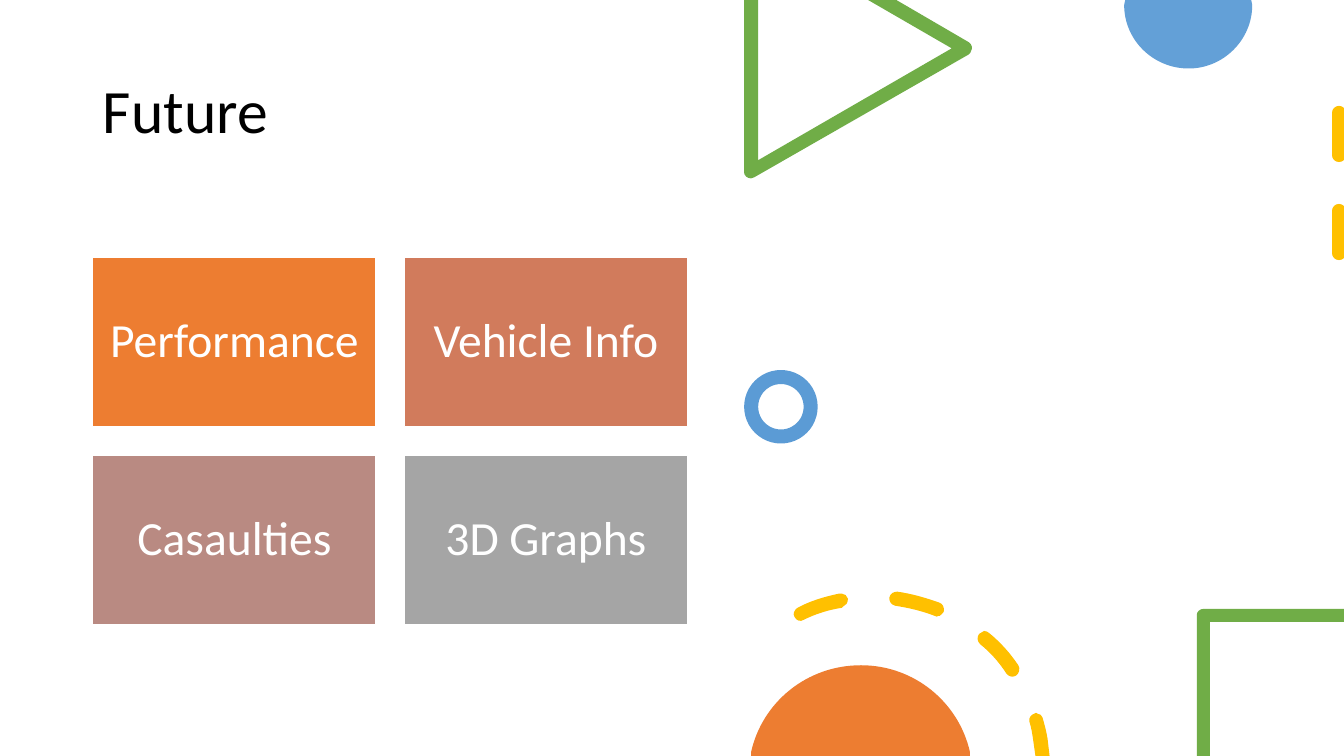
from lxml import etree
from pptx import Presentation
from pptx.dml.color import RGBColor
from pptx.enum.dml import MSO_LINE
from pptx.enum.shapes import MSO_CONNECTOR, MSO_SHAPE
from pptx.enum.text import MSO_ANCHOR, PP_ALIGN
from pptx.oxml.ns import qn
from pptx.util import Inches, Pt

RECTANGLE, OVAL = MSO_SHAPE.RECTANGLE, MSO_SHAPE.OVAL
STRAIGHT, DASH = MSO_CONNECTOR.STRAIGHT, MSO_LINE.DASH
MIDDLE, LEFT, CENTER = MSO_ANCHOR.MIDDLE, PP_ALIGN.LEFT, PP_ALIGN.CENTER
TITLE_ONLY = 5

COLORS = {
    "white": "FFFFFF", "black": "000000", "blue": "5B9BD5", "green": "70AD47",
    "yellow": "FFC000", "orange": "ED7D31", "terracotta": "D17B5C",
    "rose": "B98A82", "gray": "A5A5A5",
}

TOPICS = [("Performance", "orange"), ("Vehicle Info", "terracotta"),
          ("Casaulties", "rose"), ("3D Graphs", "gray")]

BLUE_DISC = [[(0.01, 0), (1.26, 0), (1.27, 0.05),
              (1.27, 0.4, 0.98, 0.68, 0.64, 0.68), (0.29, 0.68, 0, 0.4, 0, 0.05)]]
TRIANGLE = [[(0, 0), (0.14, 0), (0.14, 1.59), (2.06, 0.48), (1.23, 0), (1.51, 0),
             (2.23, 0.42), (2.26, 0.44, 2.27, 0.48, 2.25, 0.51),
             (2.25, 0.52, 2.24, 0.53, 2.23, 0.54), (0.1, 1.76),
             (0.09, 1.77, 0.08, 1.77, 0.07, 1.77), (0.03, 1.77, 0, 1.74, 0, 1.71)]]
ORANGE_DISC = [[(1.09, 0), (1.62, 0, 2.06, 0.37, 2.17, 0.86), (2.17, 0.9),
                (0, 0.9), (0, 0.86), (0.11, 0.37, 0.55, 0, 1.09, 0)]]
SQUARE_CORNER = [[(0.07, 0), (1.46, 0), (1.46, 0.13), (0.13, 0.13), (0.13, 1.46),
                  (0, 1.46), (0, 0.06), (0, 0.03, 0.03, 0, 0.07, 0)]]
ARC_DASHES = [
    [(2.84, 1.21), (2.86, 1.21, 2.89, 1.23, 2.89, 1.25),
     (2.91, 1.32, 2.93, 1.39, 2.94, 1.46), (2.96, 1.63), (2.82, 1.63), (2.8, 1.49),
     (2.79, 1.42, 2.78, 1.35, 2.76, 1.29), (2.75, 1.25, 2.78, 1.22, 2.81, 1.21),
     (2.82, 1.2, 2.83, 1.2, 2.84, 1.21)],
    [(2.31, 0.39), (2.33, 0.39, 2.35, 0.4, 2.36, 0.41),
     (2.47, 0.5, 2.57, 0.61, 2.65, 0.73), (2.67, 0.76, 2.66, 0.81, 2.63, 0.83),
     (2.63, 0.83, 2.62, 0.84, 2.61, 0.84), (2.59, 0.85, 2.55, 0.84, 2.53, 0.81),
     (2.46, 0.7, 2.37, 0.6, 2.27, 0.52), (2.24, 0.49, 2.24, 0.45, 2.26, 0.42),
     (2.28, 0.4, 2.29, 0.4, 2.31, 0.39)],
    [(0.9, 0.02), (0.93, 0.02, 0.95, 0.04, 0.96, 0.07),
     (0.96, 0.11, 0.94, 0.14, 0.91, 0.15), (0.91, 0.15, 0.9, 0.15, 0.9, 0.16),
     (0.77, 0.18, 0.64, 0.22, 0.52, 0.28), (0.49, 0.3, 0.45, 0.29, 0.43, 0.25),
     (0.41, 0.22, 0.43, 0.18, 0.46, 0.16), (0.59, 0.09, 0.73, 0.05, 0.87, 0.02),
     (0.88, 0.02, 0.89, 0.02, 0.9, 0.02)],
    [(1.45, 0), (1.59, 0.02, 1.73, 0.06, 1.87, 0.11),
     (1.9, 0.12, 1.92, 0.16, 1.91, 0.2), (1.9, 0.22, 1.88, 0.23, 1.87, 0.24),
     (1.86, 0.24), (1.85, 0.25, 1.83, 0.25, 1.82, 0.24),
     (1.69, 0.19, 1.56, 0.16, 1.43, 0.14), (1.39, 0.13, 1.37, 0.1, 1.37, 0.06),
     (1.38, 0.02, 1.41, 0, 1.45, 0)],
]


def rgb(name):
    return RGBColor.from_string(COLORS[name])


def write_text(shape, text, *, size, color, align=LEFT, inset=None):
    frame = shape.text_frame
    frame.word_wrap = True
    frame.vertical_anchor = MIDDLE
    if inset is not None:
        frame.margin_left = frame.margin_right = Inches(inset)
        frame.margin_top = frame.margin_bottom = Inches(inset)
    paragraph = frame.paragraphs[0]
    paragraph.alignment = align
    paragraph.line_spacing = 0.9
    run = paragraph.add_run()
    run.text = text
    run.font.name = "Calibri"
    run.font.size = Pt(size)
    run.font.color.rgb = rgb(color)


def style_shape(shape, fill=None, line=None, width=1):
    shape.shadow.inherit = False
    if fill:
        shape.fill.solid()
        shape.fill.fore_color.rgb = rgb(fill)
    else:
        shape.fill.background()
    if line:
        shape.line.color.rgb = rgb(line)
        shape.line.width = Pt(width)
    else:
        shape.line.fill.background()


def bend_segments(shape, steps):
    segments = iter(list(shape._element.iter(qn("a:lnTo"))))
    for step in steps:
        segment = next(segments)
        if len(step) == 6:
            segment.tag = qn("a:cubicBezTo")
            for _ in range(2):
                control = next(segments)
                segment.append(control[0])
                control.getparent().remove(control)


def add_outline(slide, left, top, contours, color):
    builder = None
    for contour in contours:
        points = [(Inches(left + step[i]), Inches(top + step[i + 1]))
                  for step in contour for i in range(0, len(step), 2)]
        if builder is None:
            builder = slide.shapes.build_freeform(*points[0])
        else:
            builder.move_to(*points[0])
        builder.add_line_segments(points[1:], close=True)
    shape = builder.convert_to_shape()
    bend_segments(shape, [step for contour in contours for step in contour[1:]])
    style_shape(shape, fill=color)
    return shape


def add_backdrop(slide, width, height):
    backdrop = slide.shapes.add_shape(RECTANGLE, 0, 0, width, height)
    style_shape(backdrop, fill="white")
    slide.shapes.title._element.addprevious(backdrop._element)


def add_title(slide, left, top, width, height):
    title = slide.shapes.title
    title.left, title.top = Inches(left), Inches(top)
    title.width, title.height = Inches(width), Inches(height)
    write_text(title, "Future", size=44, color="black")


def add_topic_grid(slide, left, top, width, height, gap=0.28, row_gap=0.29):
    tile_width = (width - gap) / 2
    tile_height = (height - row_gap) / 2
    for index, (topic, color) in enumerate(TOPICS):
        row, column = divmod(index, 2)
        tile = slide.shapes.add_shape(
            RECTANGLE, Inches(left + column * (tile_width + gap)),
            Inches(top + row * (tile_height + row_gap)),
            Inches(tile_width), Inches(tile_height))
        style_shape(tile, fill=color, line="white")
        write_text(tile, topic, size=34, color="white", align=CENTER, inset=0.14)


def add_dashed_edge(slide, x, top, bottom):
    edge = slide.shapes.add_connector(STRAIGHT, Inches(x), Inches(top),
                                      Inches(x), Inches(bottom))
    edge.line.color.rgb = rgb("yellow")
    edge.line.width = Pt(10)
    edge.line.dash_style = DASH
    edge.line._get_or_add_ln().set("cap", "rnd")
    etree.SubElement(edge._element.spPr, qn("a:effectLst"))


def add_decoration(slide, left, top):
    disc = add_outline(slide, left + 3.77, top, BLUE_DISC, "blue")
    color = disc._element.spPr.find(qn("a:solidFill"))[0]
    etree.SubElement(color, qn("a:alpha")).set("val", "95000")
    ring = slide.shapes.add_shape(OVAL, Inches(left + 0.07), Inches(top + 3.74),
                                  Inches(0.59), Inches(0.59))
    style_shape(ring, line="blue", width=10)
    add_outline(slide, left, top, TRIANGLE, "green")
    add_dashed_edge(slide, left + 5.9, top + 1.12, top + 2.87)
    add_outline(slide, left + 0.07, top + 5.87, ARC_DASHES, "yellow")
    add_outline(slide, left + 0.07, top + 6.6, ORANGE_DISC, "orange")
    add_outline(slide, left + 4.49, top + 6.04, SQUARE_CORNER, "green")


def main():
    presentation = Presentation()
    presentation.slide_width = Inches(13.33)
    presentation.slide_height = Inches(7.5)
    slide = presentation.slides.add_slide(presentation.slide_layouts[TITLE_ONLY])
    add_backdrop(slide, presentation.slide_width, presentation.slide_height)
    add_title(slide, 0.92, 0.4, 5.9, 1.45)
    add_decoration(slide, 7.38, 0)
    add_topic_grid(slide, 0.92, 2.55, 5.9, 3.65)
    presentation.save("out.pptx")


if __name__ == "__main__":
    main()
